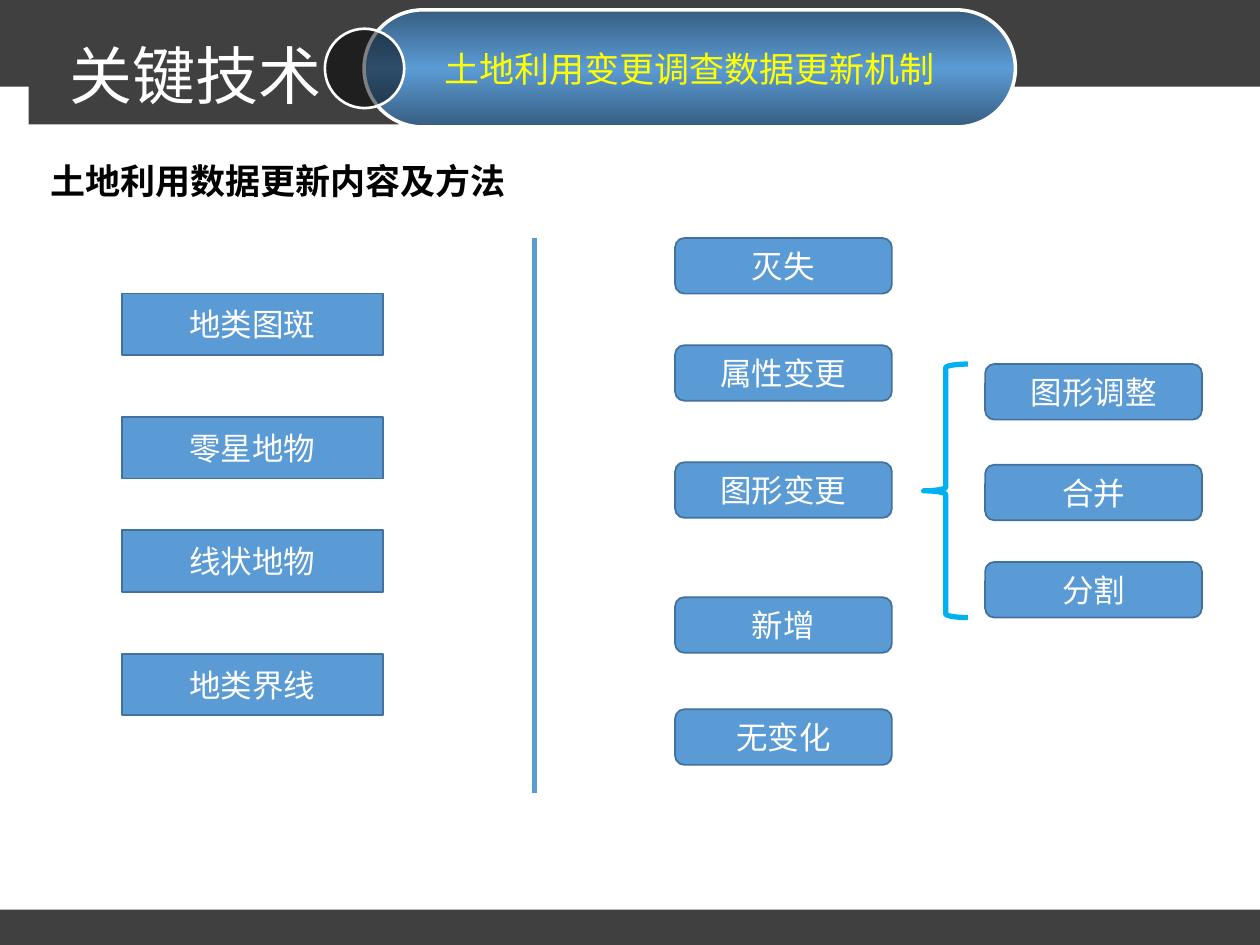
from copy import deepcopy
from dataclasses import dataclass

from lxml import etree
from pptx import Presentation
from pptx.dml.color import RGBColor
from pptx.enum import shapes, text
from pptx.oxml.ns import qn
from pptx.util import Cm, Pt

SHAPE = shapes.MSO_SHAPE


@dataclass(frozen=True)
class Theme:
    band: str = "404040"
    blue: str = "5B9BD5"
    deep_blue: str = "375E81"
    outline: str = "41719C"
    brace: str = "00B0F0"
    white: str = "FFFFFF"
    black: str = "000000"
    yellow: str = "FFFF00"
    title_size: int = 36
    heading_size: int = 20
    label_size: int = 18
    latin: str = "Calibri"
    chinese: str = "Noto Sans CJK SC"


THEME = Theme()


def rgb(color):
    return RGBColor.from_string(color)


def cm_box(box):
    return [Cm(length) for length in box]


def write(frame, wording, size, color, font=THEME.latin, bold=False,
          align=text.PP_ALIGN.CENTER, anchor=text.MSO_ANCHOR.MIDDLE):
    frame.text = wording
    frame.word_wrap = True
    frame.vertical_anchor = anchor
    paragraph = frame.paragraphs[0]
    paragraph.alignment = align
    run = paragraph.runs[0]
    run.font.size = Pt(size)
    run.font.name = font
    run.font.bold = bold
    run.font.color.rgb = rgb(color)
    east_asian = etree.Element(qn("a:ea"), typeface=THEME.chinese)
    run.font._element.find(qn("a:latin")).addnext(east_asian)


def add_figure(slide, kind, box, fill=None, line=None, width=1):
    figure = slide.shapes.add_shape(kind, *cm_box(box))
    figure.shadow.inherit = False
    if fill:
        figure.fill.solid()
        figure.fill.fore_color.rgb = rgb(fill)
    else:
        figure.fill.background()
    if line:
        figure.line.color.rgb = rgb(line)
        figure.line.width = Pt(width)
    else:
        figure.line.fill.background()
    return figure


def add_bands(slide, box):
    left, top, width, height = box
    for band in ((left + 0.58, top + 0.76, 7.47, 1.75),
                 (left, top, width, 1.75),
                 (left, top + height - 0.71, width, 0.71)):
        add_figure(slide, SHAPE.RECTANGLE, band, THEME.band)


def add_title(slide, box):
    title = slide.shapes.title
    title.left, title.top, title.width, title.height = cm_box(box)
    write(title.text_frame, "关键技术", THEME.title_size, THEME.white, THEME.chinese,
          align=text.PP_ALIGN.LEFT, anchor=text.MSO_ANCHOR.TOP)
    title.text_frame.auto_size = text.MSO_AUTO_SIZE.SHAPE_TO_FIT_TEXT
    slide.shapes._spTree.append(title._element)


def add_topic(slide, box):
    left, top, width, height = box
    pill = add_figure(slide, SHAPE.ROUNDED_RECTANGLE, (left + 0.79, top, width - 0.79, height),
                      THEME.blue, THEME.white, 2)
    pill.adjustments[0] = 0.5
    pill.fill.gradient()
    pill.fill.gradient_angle = 90
    first_stop = pill._element.spPr.find(".//" + qn("a:gs"))
    first_stop.addnext(deepcopy(first_stop))
    colors = (THEME.deep_blue, THEME.blue, THEME.deep_blue)
    for stop, position, color in zip(pill.fill.gradient_stops, (0, 0.5, 1), colors):
        stop.position = position
        stop.color.rgb = rgb(color)
    write(pill.text_frame, "土地利用变更调查数据更新机制", THEME.heading_size,
          THEME.yellow, THEME.chinese)
    pill.text_frame.word_wrap = False

    lens = add_figure(slide, SHAPE.OVAL, (left, top + 0.38, 1.6, 1.6),
                      THEME.black, THEME.white, 1.5)
    fill_color = lens._element.spPr.find(qn("a:solidFill"))[0]
    etree.SubElement(fill_color, qn("a:alpha"), val="50000")


def add_heading(slide, box):
    heading = slide.shapes.add_textbox(*cm_box(box))
    write(heading.text_frame, "土地利用数据更新内容及方法", THEME.heading_size, THEME.black,
          bold=True, anchor=text.MSO_ANCHOR.TOP)
    heading.text_frame.auto_size = text.MSO_AUTO_SIZE.SHAPE_TO_FIT_TEXT


def add_labels(slide, kind, box, label_height, labels):
    left, top, width, _ = box
    for wording, offset in labels:
        label = add_figure(slide, kind, (left, top + offset, width, label_height),
                           THEME.blue, THEME.outline)
        write(label.text_frame, wording, THEME.label_size, THEME.white)


def add_contents(slide, box):
    add_labels(slide, SHAPE.RECTANGLE, box, 1.24,
               (("地类图斑", 0), ("零星地物", 2.49), ("线状地物", 4.77), ("地类界线", 7.26)))


def add_methods(slide, box):
    left, top, _, height = box
    add_labels(slide, SHAPE.ROUNDED_RECTANGLE, (left, top, 4.37, height), 1.12,
               (("灭失", 0), ("属性变更", 2.16), ("图形变更", 4.52), ("新增", 7.24), ("无变化", 9.5)))
    add_labels(slide, SHAPE.ROUNDED_RECTANGLE, (left + 6.25, top + 2.54, 4.37, 5.11), 1.12,
               (("图形调整", 0), ("合并", 2.03), ("分割", 3.99)))
    add_figure(slide, SHAPE.LEFT_BRACE, (left + 5.01, top + 2.54, 0.89, 5.11),
               line=THEME.brace, width=3)


def add_divider(slide, box):
    left, top, width, height = box
    divider = slide.shapes.add_connector(
        shapes.MSO_CONNECTOR.STRAIGHT, *cm_box((left, top, left + width, top + height)))
    divider.line.color.rgb = rgb(THEME.blue)
    divider.line.width = Pt(3)
    etree.SubElement(divider._element.spPr, qn("a:effectLst"))


def main():
    deck = Presentation()
    deck.slide_width, deck.slide_height = Cm(25.4), Cm(19.05)
    slide = deck.slides.add_slide(deck.slide_layouts[5])
    add_bands(slide, (0, 0, 25.4, 19.05))
    add_title(slide, (1.14, 0.61, 5.72, 1.78))
    add_topic(slide, (6.55, 0.2, 13.92, 2.36))
    add_heading(slide, (0.48, 3.1, 10.26, 1.12))
    add_contents(slide, (2.46, 5.92, 5.26, 8.5))
    add_methods(slide, (13.61, 4.8, 10.62, 10.62))
    add_divider(slide, (10.77, 4.8, 0, 11.18))
    deck.save("out.pptx")


if __name__ == "__main__":
    main()
